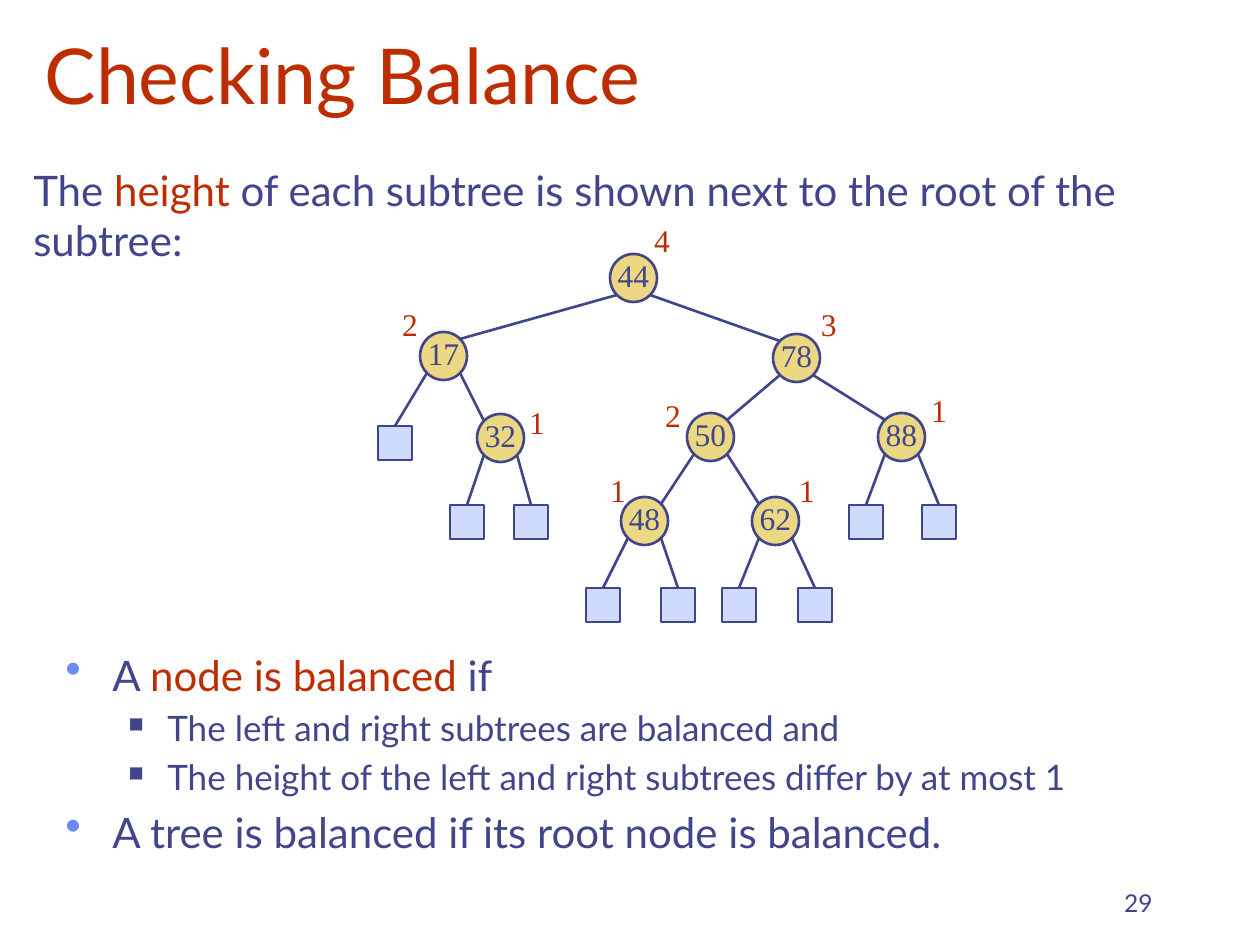
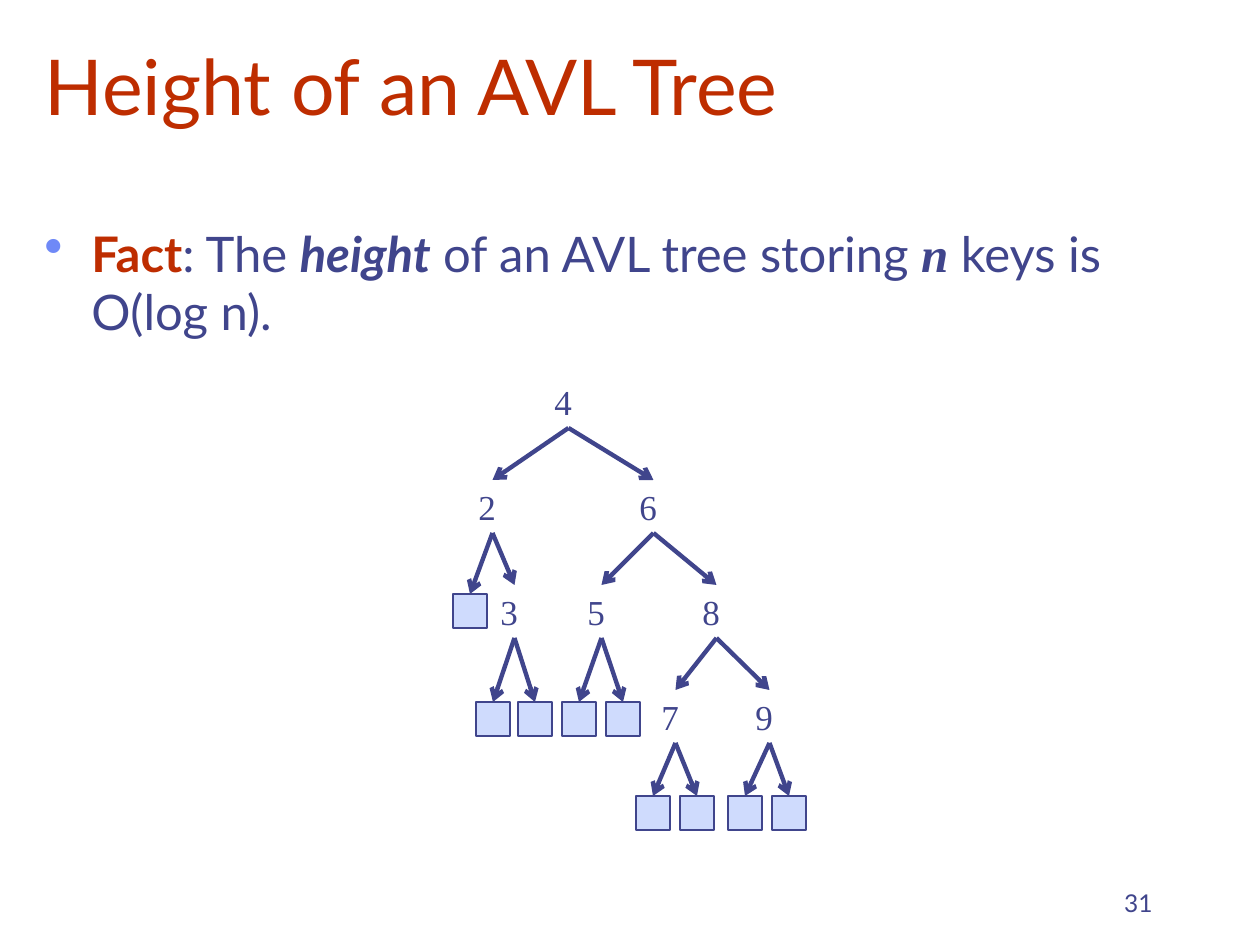
import pptx
import pptx.dml.color
import pptx.enum.shapes
import pptx.enum.text
import pptx.oxml
import pptx.oxml.ns
import pptx.util
import lxml.etree

PX = 914400 / 126
COLORS = {"red": "BE2D00", "ink": "40458C", "dot": "6F89F7", "node": "ECD882", "leaf": "CFDBFD"}
SANS, SERIF = "Lato", "Times New Roman"
ALIGN = pptx.enum.text.PP_ALIGN
ANCHOR = pptx.enum.text.MSO_ANCHOR
SHAPE = pptx.enum.shapes.MSO_SHAPE
STRAIGHT = pptx.enum.shapes.MSO_CONNECTOR.STRAIGHT
BULLETS = {
    "main": {"char": "•", "color": "dot", "percent": 110, "left": 47, "hang": 47},
    "sub": {"char": "■", "color": "ink", "percent": 60, "left": 102, "hang": 39},
}
NO_MARGINS = {"margin_left": 0, "margin_right": 0, "margin_top": 0, "margin_bottom": 0}
LABEL_FRAME = {"word_wrap": False, **NO_MARGINS}
NODE_FRAME = {**LABEL_FRAME, "margin_bottom": round(6 * PX), "vertical_anchor": ANCHOR.MIDDLE}
KEY_FRAME = {"word_wrap": False, "vertical_anchor": ANCHOR.MIDDLE}
TITLE_FRAME = {"word_wrap": True, "vertical_anchor": ANCHOR.BOTTOM,
               "auto_size": pptx.enum.text.MSO_AUTO_SIZE.NONE}
NUMBER_FRAME = {"word_wrap": True, "vertical_anchor": ANCHOR.BOTTOM}


def write(holder, paragraphs, frame, font=SANS, align=ALIGN.LEFT):
    text_frame = holder.text_frame
    for name, value in frame.items():
        setattr(text_frame, name, value)
    for index, (bullet, size, runs) in enumerate(paragraphs):
        paragraph = text_frame.add_paragraph() if index else text_frame.paragraphs[0]
        paragraph.alignment = align
        if index:
            paragraph.space_before = pptx.util.Pt(size * 0.2)
        if bullet:
            style = BULLETS[bullet]
            properties = paragraph._p.get_or_add_pPr()
            properties.set("marL", str(round(style["left"] * PX)))
            properties.set("indent", str(round(-style["hang"] * PX)))
            tint = lxml.etree.SubElement(properties, pptx.oxml.ns.qn("a:buClr"))
            lxml.etree.SubElement(tint, pptx.oxml.ns.qn("a:srgbClr"), val=COLORS[style["color"]])
            lxml.etree.SubElement(properties, pptx.oxml.ns.qn("a:buSzPct"), val=str(style["percent"] * 1000))
            lxml.etree.SubElement(properties, pptx.oxml.ns.qn("a:buChar"), char=style["char"])
        for text, color, extra in runs:
            run = paragraph.add_run()
            run.text = text
            run.font.color.rgb = pptx.dml.color.RGBColor.from_string(COLORS[color])
            for name, value in {"name": font, "size": pptx.util.Pt(size), **extra}.items():
                setattr(run.font, name, value)


def outline(item, weight, fill=None):
    item.line.color.rgb = pptx.dml.color.RGBColor.from_string(COLORS["ink"])
    item.line.width = pptx.util.Pt(weight)
    if fill:
        item.shadow.inherit = False
        item.fill.solid()
        item.fill.fore_color.rgb = pptx.dml.color.RGBColor.from_string(COLORS[fill])
    else:
        lxml.etree.SubElement(item._element.spPr, pptx.oxml.ns.qn("a:effectLst"))


deck = pptx.Presentation()
deck.slide_width, deck.slide_height = round(1260 * PX), round(945 * PX)

slides = []
for title, title_top, number in [("Checking Balance", -32, "29"), ("Height of an AVL Tree", -21, "31")]:
    slide = deck.slides.add_slide(deck.slide_layouts[5])
    heading = slide.shapes.title
    for name, value in {"left": 32, "top": title_top, "width": 1071, "height": 158}.items():
        setattr(heading, name, round(value * PX))
    write(heading, [(None, 44, [(title, "red", {})])], TITLE_FRAME)
    page = slide.shapes.add_textbox(*(round(v * PX) for v in (903, 861, 262, 63)))
    write(page, [(None, 14, [(number, "ink", {})])], NUMBER_FRAME, align=ALIGN.RIGHT)
    slides.append(slide)
balance, avl = slides

intro = balance.shapes.add_textbox(*(round(v * PX) for v in (21, 158, 1134, 113)))
write(intro, [(None, 24, [
    ("The ", "ink", {}),
    ("height", "red", {}),
    (" of each subtree is shown next to the root of the subtree:", "ink", {}),
])], {"word_wrap": True})

NODE_W, NODE_H, LEAF = 47, 48, 34
NODE_INSET = 7
balance_nodes = {
    "44": (610, 254), "17": (420, 332), "78": (773, 334), "32": (477, 414),
    "50": (687, 413), "88": (878, 413), "48": (621, 497), "62": (752, 497),
}
balance_children = {
    "44": ("17", "78"), "17": ((378, 426), "32"), "78": ("50", "88"),
    "32": ((450, 505), (514, 505)), "50": ("48", "62"), "88": ((849, 505), (922, 505)),
    "48": ((586, 588), (661, 588)), "62": ((722, 588), (798, 588)),
}
heights = [("4", 654, 221), ("2", 402, 305), ("3", 821, 305), ("1", 529, 403),
           ("2", 665, 396), ("1", 931, 391), ("1", 610, 471), ("1", 799, 471)]

for key, (left, top) in balance_nodes.items():
    node = balance.shapes.add_shape(SHAPE.OVAL, *(round(v * PX) for v in (left, top, NODE_W, NODE_H)))
    outline(node, 1.5, "node")
    write(node, [(None, 18, [(key, "ink", {})])], NODE_FRAME, SERIF, ALIGN.CENTER)

for parent, children in balance_children.items():
    left, top = balance_nodes[parent]
    corners = (left + NODE_INSET, left + NODE_W - NODE_INSET)
    for side, child in enumerate(children):
        start = (corners[side], top + NODE_H - NODE_INSET)
        if child in balance_nodes:
            child_left, child_top = balance_nodes[child]
            end_x = child_left + (NODE_INSET if side else NODE_W - NODE_INSET)
            end = (end_x, child_top + NODE_INSET)
        else:
            end = (child[0] + LEAF // 2, child[1])
        edge = balance.shapes.add_connector(STRAIGHT, *(round(v * PX) for v in start + end))
        outline(edge, 1.5)
        if child not in balance_nodes:
            leaf = balance.shapes.add_shape(SHAPE.RECTANGLE, *(round(v * PX) for v in child + (LEAF, LEAF)))
            outline(leaf, 1.5, "leaf")
            edge.end_connect(leaf, 0)

for height, left, top in heights:
    label = balance.shapes.add_textbox(*(round(v * PX) for v in (left, top, 16, 38)))
    write(label, [(None, 18, [(height, "red", {})])], LABEL_FRAME, SERIF)

rules = balance.shapes.add_textbox(*(round(v * PX) for v in (53, 643, 1081, 220)))
write(rules, [
    ("main", 24, [("A ", "ink", {}), ("node is balanced", "red", {}), (" if", "ink", {})]),
    ("sub", 20, [("The left and right subtrees are balanced and", "ink", {})]),
    ("sub", 20, [("The height of the left and right subtrees differ by at most 1", "ink", {})]),
    ("main", 24, [("A tree is balanced if its root node is balanced.", "ink", {})]),
], {"word_wrap": True})

fact = avl.shapes.add_textbox(*(round(v * PX) for v in (32, 217, 1197, 140)))
write(fact, [("main", 28, [
    ("Fact", "red", {"bold": True}),
    (": The ", "ink", {}),
    ("height", "ink", {"bold": True, "italic": True}),
    (" of an AVL tree storing ", "ink", {}),
    ("n", "ink", {"name": SERIF, "bold": True, "italic": True}),
    (" keys is O(log n).", "ink", {}),
])], {"word_wrap": True})

KEY_SIZE, FIRST_LEVEL, LEVEL_STEP = 53, 375, 105
avl_levels = [{"4": 542}, {"2": 466, "6": 627}, {"3": 488, "5": 575, "8": 690}, {"7": 649, "9": 743}]
avl_children = {
    "4": ("2", "6"), "2": ((453, 594), "3"), "6": ("5", "8"),
    "3": ((476, 702), (518, 702)), "5": ((562, 702), (606, 702)), "8": ("7", "9"),
    "7": ((636, 796), (680, 796)), "9": ((728, 796), (772, 796)),
}

tree = avl.shapes.add_group_shape().shapes
avl_keys = {}
for level, keys in enumerate(avl_levels):
    for key, left in keys.items():
        place = (left, FIRST_LEVEL + level * LEVEL_STEP, KEY_SIZE, KEY_SIZE)
        avl_keys[key] = tree.add_textbox(*(round(v * PX) for v in place))
        write(avl_keys[key], [(None, 20, [(key, "ink", {})])], KEY_FRAME, SERIF)

for parent, children in avl_children.items():
    for child in children:
        if child in avl_keys:
            target = avl_keys[child]
        else:
            target = tree.add_shape(SHAPE.RECTANGLE, *(round(v * PX) for v in child + (LEAF, LEAF)))
            outline(target, 1.5, "leaf")
        source = avl_keys[parent]
        arrow = tree.add_connector(STRAIGHT, source.left + source.width // 2, source.top + source.height,
                                   target.left + target.width // 2, target.top)
        arrow.begin_connect(source, 2)
        arrow.end_connect(target, 0)
        outline(arrow, 2.5)
        lxml.etree.SubElement(arrow.line._get_or_add_ln(), pptx.oxml.ns.qn("a:tailEnd"), type="arrow")

deck.save("out.pptx")
